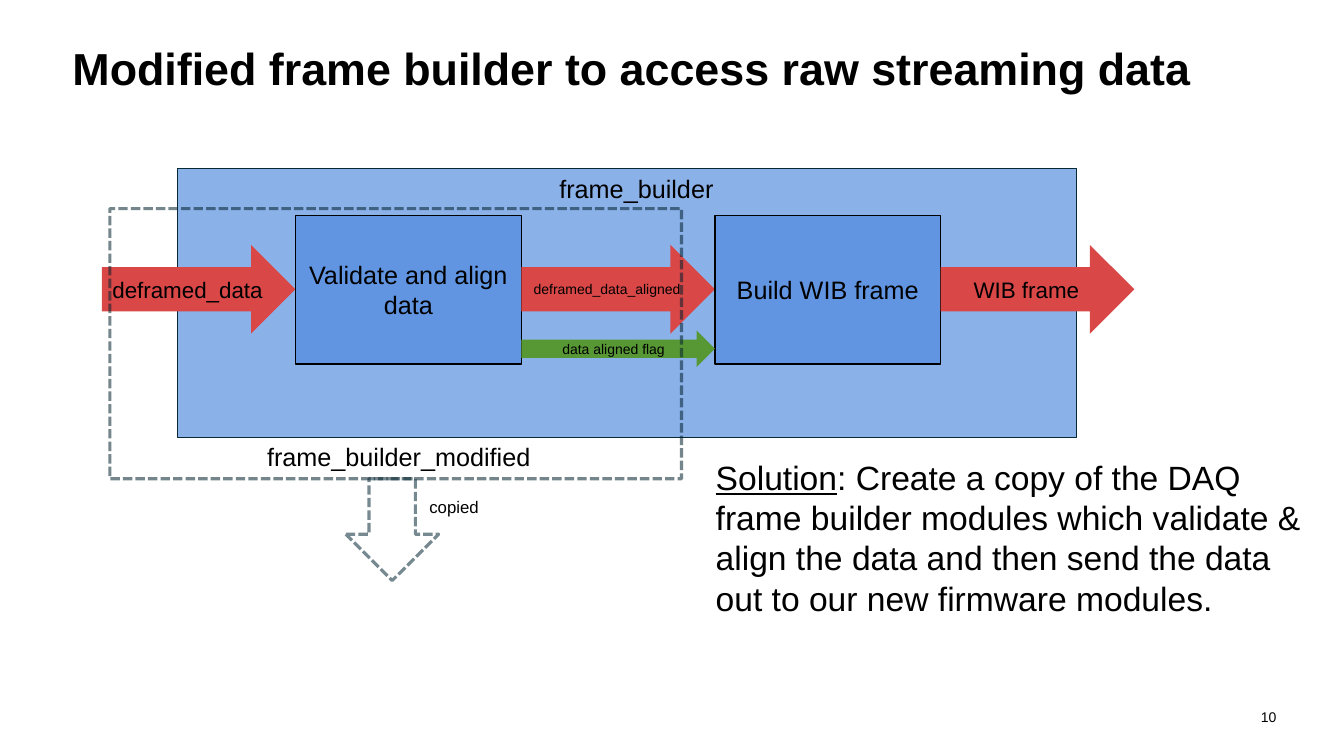
from lxml.etree import SubElement
from pptx import Presentation
from pptx.dml.color import RGBColor
from pptx.enum.dml import MSO_LINE
from pptx.enum.shapes import MSO_SHAPE as Shape
from pptx.enum.text import MSO_ANCHOR as Anchor, PP_ALIGN as Align
from pptx.oxml.ns import qn
from pptx.util import Pt

PX = 9144  # 100 px to the inch
FONT = "Arial"
COLORS = {
    "text": "000000", "builder": "8BB1E9", "builder_line": "072835",
    "step": "6195E1", "step_line": "000000", "data": "D94747",
    "flag": "579835", "modified_line": "03222F",
}

# Content: text boxes hold runs of (text, underlined)
TITLE = "Modified frame builder to access raw streaming data"
PAGE = "10"
SOLUTION = [
    ("Solution", True),
    (": Create a copy of the DAQ frame builder modules which validate & align "
     "the data and then send the data out to our new firmware modules.", False),
]
FLOW = [  # kind, label, text size; laid end to end from left to right
    ("arrow", "deframed_data", 16),
    ("step", "Validate and align data", 18),
    ("arrow", "deframed_data_aligned", 10),
    ("step", "Build WIB frame", 18),
    ("arrow", "WIB frame", 16),
]
FLAG = "data aligned flag"
LABELS = [  # text, size, box
    ("frame_builder", 18, (545, 167, 174, 40)),
    ("frame_builder_modified", 18, (255, 433, 298, 40)),
    ("copied", 12, (416, 488, 101, 30)),
]

# Layout in px
BUILDER = (176, 167, 892, 267)
MODIFIED = (109, 207, 567, 268)
COPIED_ARROW = (343, 475, 92, 101)
FLOW_LEFT, FLOW_MIDDLE = 101, 287
FLOW_SIZES = {"arrow": (192, 88), "step": (224, 147)}
FLAG_TOP, FLAG_HEIGHT = 328, 36

prs = Presentation()
prs.slide_width, prs.slide_height = 1333 * PX, 750 * PX
slide = prs.slides.add_slide(prs.slide_layouts[6])


def color(name):
    return RGBColor.from_string(COLORS[name])


def write(frame, runs, size, align=Align.LEFT, anchor=Anchor.TOP, bold=False):
    frame.word_wrap = True
    frame.vertical_anchor = anchor
    paragraph = frame.paragraphs[0]
    paragraph.alignment = align
    for text, underlined in runs:
        run = paragraph.add_run()
        run.text = text
        run.font.name, run.font.size = FONT, Pt(size)
        run.font.bold, run.font.underline = bold, underlined
        run.font.color.rgb = color("text")
    return paragraph


def add_text(box, runs, size, **style):
    frame = slide.shapes.add_textbox(*(v * PX for v in box)).text_frame
    return frame, write(frame, runs, size, **style)


def add_block(kind, box, fill=None, line=None, width=1, label=None, size=18):
    block = slide.shapes.add_shape(kind, *(v * PX for v in box))
    block.shadow.inherit = False
    if fill:
        block.fill.solid()
        block.fill.fore_color.rgb = color(fill)
    else:
        block.fill.background()
    if line:
        block.line.color.rgb = color(line)
        block.line.width = Pt(width)
    else:
        block.line.fill.background()
    if label:
        write(block.text_frame, [(label, False)], size, Align.CENTER, Anchor.MIDDLE)
    return block


def add_dashed(kind, box, line):
    outline = add_block(kind, box, line=line, width=2.25).line
    outline.dash_style = MSO_LINE.SQUARE_DOT
    for rgb in outline.fill._xPr.iter(qn("a:srgbClr")):
        SubElement(rgb, qn("a:alpha")).set("val", "54000")


# Page number, title and solution
page_frame, _ = add_text((1224, 691, 47, 40), [(PAGE, False)], 10,
                         align=Align.RIGHT, anchor=Anchor.MIDDLE)
page_frame.margin_left = page_frame.margin_top = page_frame.margin_bottom = 0
page_frame.margin_right = 5 * PX
_, title = add_text((62, 40, 1208, 61), [(TITLE, False)], 32,
                    anchor=Anchor.MIDDLE, bold=True)
title.line_spacing = 0.9
add_text((700, 448, 601, 172), SOLUTION, 24)

# Frame builder with its data flow
add_block(Shape.RECTANGLE, BUILDER, "builder", "builder_line")
left = FLOW_LEFT
for kind, label, size in FLOW:
    width, height = FLOW_SIZES[kind]
    box = (left, FLOW_MIDDLE - height // 2, width, height)
    if kind == "arrow":
        add_block(Shape.RIGHT_ARROW, box, "data", label=label, size=size)
    else:
        add_block(Shape.RECTANGLE, box, "step", "step_line", label=label, size=size)
    left += width

# Labels, copied part and aligned flag
for text, size, box in LABELS:
    add_text(box, [(text, False)], size)
add_dashed(Shape.DOWN_ARROW, COPIED_ARROW, "builder_line")
arrow_width, step_width = FLOW_SIZES["arrow"][0], FLOW_SIZES["step"][0]
flag_box = (FLOW_LEFT + arrow_width + step_width, FLAG_TOP, arrow_width, FLAG_HEIGHT)
add_block(Shape.RIGHT_ARROW, flag_box, "flag", label=FLAG, size=10)
add_dashed(Shape.RECTANGLE, MODIFIED, "modified_line")

prs.save("out.pptx")
